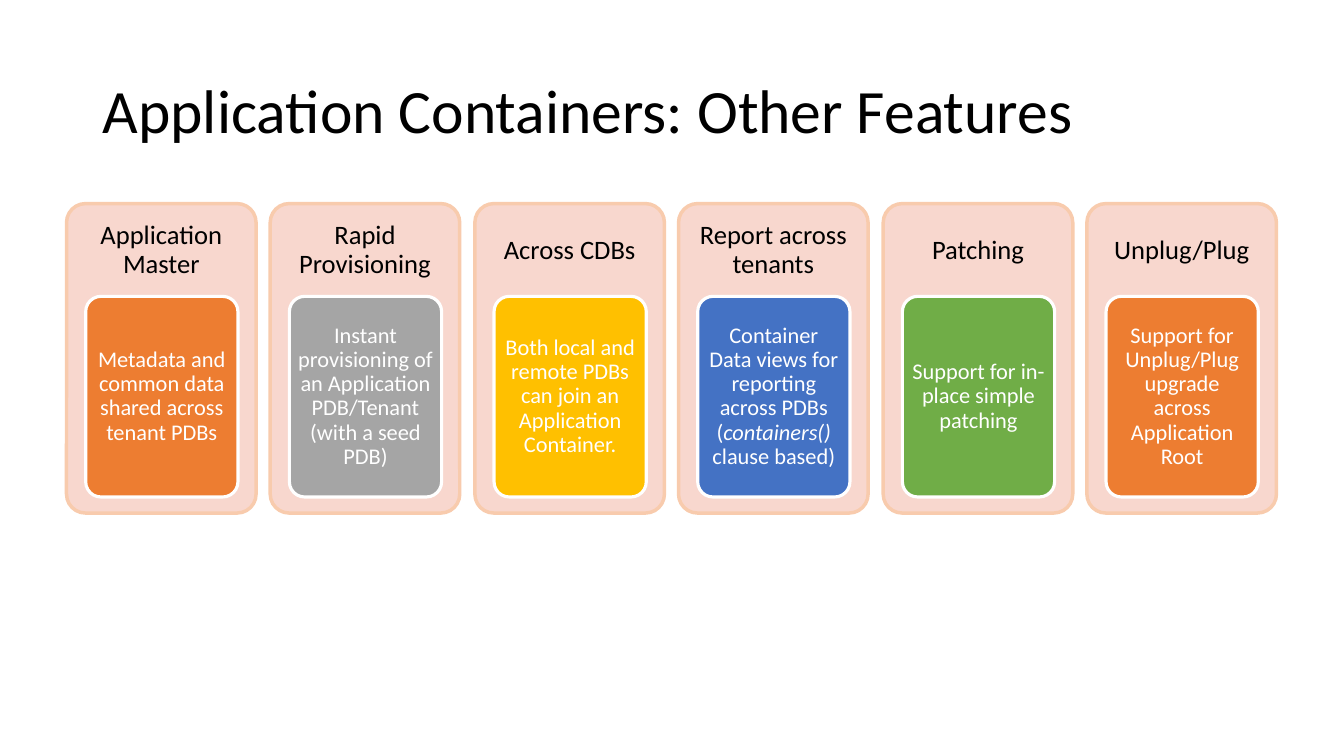
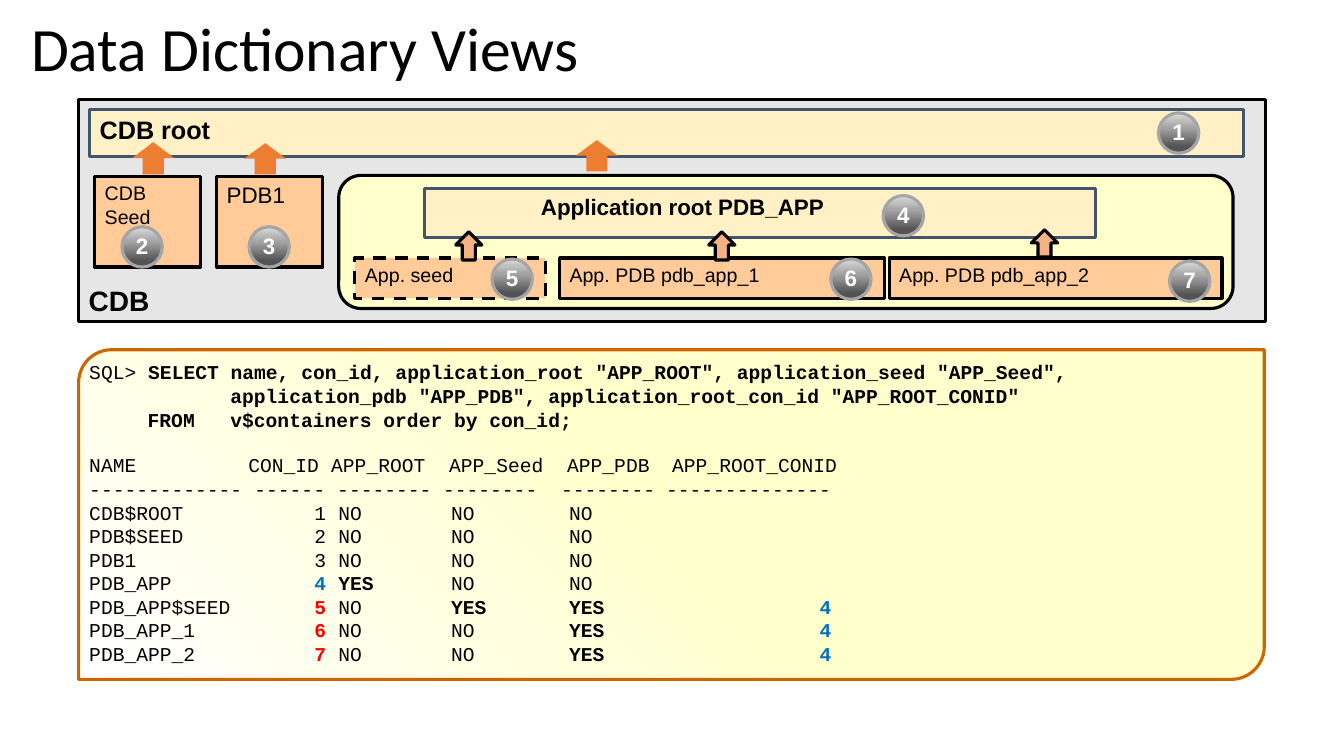
from dataclasses import dataclass
from typing import NamedTuple

from lxml.etree import SubElement
from pptx import Presentation
from pptx.dml.color import RGBColor
from pptx.enum.dml import MSO_LINE
from pptx.enum.shapes import MSO_SHAPE as SHAPE
from pptx.enum.text import MSO_ANCHOR as ANCHOR, PP_ALIGN as ALIGN
from pptx.oxml.ns import qn
from pptx.util import Emu, Pt

EMU_PER_PX = 9144  # 100 px to the inch

COLORS = {
    "black": "000000", "white": "FFFFFF", "red": "FF0000", "blue": "0070C0",
    "card": "F8D7CE", "card_line": "F8CBAD",
    "orange": "ED7D31", "gray": "A5A5A5", "gold": "FFC000",
    "royal": "4472C4", "green": "70AD47",
    "cdb": "E7E6E6", "pdb": "FFCC99", "root": "FFF0C5", "root_line": "44546A",
    "cream": "FFFFCC", "sql_line": "CC6600", "small_arrow": "F4B183",
    "ball_light": "DBDBDB", "ball_dark": "525252",
}
BALL_STOPS = ((0, "ball_light"), (36, "gray"), (85, "ball_dark"))
SQL_STOPS = ((0, "cream"), (50, "cream"), (100, "white"))


class Run(NamedTuple):
    text: str
    bold: bool | None = None
    italic: bool | None = None
    color: str | None = None


class Para(NamedTuple):
    runs: list[Run]
    tabs: tuple[tuple[int, str], ...] = ()
    before: int = 0


@dataclass(frozen=True)
class Card:
    heading: str
    fill: str
    body: list[Run]


@dataclass(frozen=True)
class Box:
    at: tuple[int, int, int, int]
    fill: str
    text: str = ""
    size: int = 14
    bold: bool = False
    line: str = "black"
    dashed: bool = False
    align: ALIGN = ALIGN.LEFT
    insets: tuple[int, int, int, int] = (10, 5, 10, 5)
    kind: SHAPE = SHAPE.RECTANGLE


class Arrow(NamedTuple):
    at: tuple[int, int, int, int]
    fill: str
    line: str | None = None


class Ball(NamedTuple):
    label: str
    x: int
    y: int


def px(n: int) -> Emu:
    return Emu(n * EMU_PER_PX)


def rgb(name: str) -> RGBColor:
    return RGBColor.from_string(COLORS[name])


def write(s, content, *, size: int, font: str = "Calibri", color: str = "black",
          bold: bool = False, align: ALIGN = ALIGN.LEFT,
          anchor: ANCHOR = ANCHOR.TOP, spacing: float = 1.0,
          insets: tuple[int, int, int, int] = (10, 5, 10, 5),
          wrap: bool = True) -> None:
    """Fill a shape with a string or a list of paragraphs."""
    paras = [Para([Run(content)])] if isinstance(content, str) else content
    tf = s.text_frame
    tf.word_wrap, tf.vertical_anchor = wrap, anchor
    tf.margin_left, tf.margin_top, tf.margin_right, tf.margin_bottom = map(px, insets)
    for i, para in enumerate(paras):
        p = tf.add_paragraph() if i else tf.paragraphs[0]
        p.alignment, p.line_spacing = align, spacing
        if para.before:
            p.space_before = Pt(para.before)
        if para.tabs:
            tab_list = SubElement(p._p.get_or_add_pPr(), qn("a:tabLst"))
            for pos, algn in para.tabs:
                SubElement(tab_list, qn("a:tab"), pos=str(px(pos)), algn=algn)
        for run in para.runs:
            r = p.add_run()
            r.text = run.text
            r.font.name, r.font.size = font, Pt(size)
            r.font.bold = bold if run.bold is None else run.bold
            r.font.italic = run.italic
            r.font.color.rgb = rgb(run.color or color)


def add_shape(slide, kind: SHAPE, at: tuple[int, int, int, int], *,
              fill: str | None = None, line: str | None = None,
              width: float = 2.25, adj: tuple[float, ...] = ()):
    s = slide.shapes.add_shape(kind, *map(px, at))
    s.shadow.inherit = False
    for i, value in enumerate(adj):
        s.adjustments[i] = value
    if fill:
        s.fill.solid()
        s.fill.fore_color.rgb = rgb(fill)
    if line:
        s.line.color.rgb = rgb(line)
        s.line.width = Pt(width)
    else:
        s.line.fill.background()
    return s


def set_gradient(s, stops: tuple[tuple[int, str], ...], angle: int) -> None:
    """Apply a linear gradient; the angle runs clockwise from left to right."""
    s.fill.gradient()
    grad = s._element.spPr.find(qn("a:gradFill"))
    grad.clear()
    stop_list = SubElement(grad, qn("a:gsLst"))
    for pos, color in stops:
        gs = SubElement(stop_list, qn("a:gs"), pos=str(pos * 1000))
        SubElement(gs, qn("a:srgbClr"), val=COLORS[color])
    SubElement(grad, qn("a:lin"), ang=str(angle * 60000), scaled="0")


def add_title(slide, text: str, at: tuple[int, int, int, int]) -> None:
    s = slide.shapes.add_textbox(*map(px, at))
    write(s, text, size=44, anchor=ANCHOR.MIDDLE, spacing=0.9)


CARDS = [
    Card("Application Master", "orange",
         [Run("Metadata and common data shared across tenant PDBs")]),
    Card("Rapid Provisioning", "gray",
         [Run("Instant provisioning of an Application PDB/Tenant (with a seed PDB)")]),
    Card("Across CDBs", "gold",
         [Run("Both local and remote PDBs can join an Application Container.")]),
    Card("Report across tenants", "royal",
         [Run("Container Data views for reporting across PDBs ("),
          Run("containers() ", italic=True), Run("clause based)")]),
    Card("Patching", "green", [Run("Support for in-place simple patching")]),
    Card("Unplug/Plug", "orange",
         [Run("Support for Unplug/Plug upgrade across Application Root")]),
]
CARDS_LEFT, CARDS_RIGHT, CARD_W, CARD_PAD = 66, 1266, 188, 19


def add_card(slide, card: Card, x: int) -> None:
    centred = {"align": ALIGN.CENTER, "anchor": ANCHOR.MIDDLE, "spacing": 0.9}
    outer = add_shape(slide, SHAPE.ROUNDED_RECTANGLE, (x, 202, CARD_W, 307),
                      fill="card", line="card_line", width=2.5, adj=(0.1,))
    write(outer, card.heading, size=19, insets=(2, 2, 2, 216), **centred)
    inner = add_shape(slide, SHAPE.ROUNDED_RECTANGLE,
                      (x + CARD_PAD, 294, CARD_W - 2 * CARD_PAD + 1, 199),
                      fill=card.fill, line="white", adj=(0.1,))
    write(inner, [Para(card.body)], size=16, color="white",
          insets=(4, 4, 4, 4), **centred)


def features_slide(prs) -> None:
    slide = prs.slides.add_slide(prs.slide_layouts[6])
    add_title(slide, "Application Containers: Other Features", (92, 40, 1150, 145))
    pitch = (CARDS_RIGHT - CARDS_LEFT - CARD_W) / (len(CARDS) - 1)
    for i, card in enumerate(CARDS):
        add_card(slide, card, round(CARDS_LEFT + i * pitch))


BOXES = [
    Box((78, 99, 1177, 220), "cdb"),
    Box((94, 175, 105, 90), "pdb", "CDB Seed", insets=(10, 5, 25, 5)),
    Box((215, 175, 105, 90), "pdb", "PDB1", size=16),
    Box((336, 174, 887, 132), "cream", kind=SHAPE.ROUNDED_RECTANGLE),
    Box((421, 187, 666, 49), "root", "Application root PDB_APP", size=16, bold=True,
        line="root_line", align=ALIGN.CENTER, insets=(0, 5, 154, 5)),
    Box((352, 256, 189, 40), "pdb", "App. seed", dashed=True),
    Box((555, 256, 322, 40), "pdb", "App. PDB pdb_app_1"),
    Box((882, 256, 330, 40), "pdb", "App. PDB pdb_app_2"),
    Box((89, 109, 1144, 46), "root", "CDB root", size=18, bold=True,
        line="root_line", insets=(10, 4, 10, 5)),
]
ARROWS = [
    Arrow((242, 142, 42, 31), "orange"),
    Arrow((131, 141, 42, 32), "orange"),
    Arrow((571, 139, 42, 31), "orange"),
    Arrow((452, 230, 26, 28), "small_arrow", "black"),
    Arrow((703, 230, 26, 28), "small_arrow", "black"),
    Arrow((1023, 228, 26, 27), "small_arrow", "black"),
]
BALLS = [
    Ball("1", 1149, 112), Ball("7", 1160, 259), Ball("6", 824, 257),
    Ball("5", 488, 257), Ball("3", 247, 225), Ball("2", 121, 225),
    Ball("4", 876, 194),
]

FROM_STOP, NAMES_STOP = (58, "l"), (140, "l")
HEAD_STOPS = ((228, "r"), (240, "l"), (357, "l"), (474, "l"), (742, "r"))
RULE_STOPS = ((234, "r"), (246, "l"), (351, "l"), (468, "l"), (736, "r"))
ROW_STOPS = ((235, "r"), (247, "l"), (359, "l"), (476, "l"), (736, "r"))
HEADINGS = ("NAME", "CON_ID", "APP_ROOT", "APP_Seed", "APP_PDB", "APP_ROOT_CONID")
RULE_LENGTHS = (13, 6, 8, 8, 8, 14)
APP_ROOT_ID = 4
CONTAINERS = [
    ("CDB$ROOT", "NO", "NO", "NO"),
    ("PDB$SEED", "NO", "NO", "NO"),
    ("PDB1", "NO", "NO", "NO"),
    ("PDB_APP", "YES", "NO", "NO"),
    ("PDB_APP$SEED", "NO", "YES", "YES"),
    ("PDB_APP_1", "NO", "NO", "YES"),
    ("PDB_APP_2", "NO", "NO", "YES"),
]


def result_row(con_id: int, name: str, *flags: str) -> Para:
    """Root's id is blue, ids of its members are red, and each YES is bold."""
    root_id = Run(f"\t{APP_ROOT_ID}", bold=True, color="blue")
    if con_id == APP_ROOT_ID:
        id_run = root_id
    elif con_id > APP_ROOT_ID:
        id_run = Run(f"\t{con_id}", bold=True, color="red")
    else:
        id_run = Run(f"\t{con_id}")
    runs = [Run(name), id_run, *(Run("\t" + f, bold=f == "YES") for f in flags)]
    if con_id > APP_ROOT_ID:
        runs.append(root_id)
    return Para(runs, ROW_STOPS)


def sql_paragraphs() -> list[Para]:
    return [
        Para([Run("SQL> "),
              Run('SELECT name, con_id, application_root "APP_ROOT", '
                  'application_seed "APP_Seed",', bold=True)]),
        Para([Run('\tapplication_pdb "APP_PDB", '
                  'application_root_con_id "APP_ROOT_CONID"', bold=True)],
             (NAMES_STOP,)),
        Para([Run("\tFROM\tv$containers order by con_id;", bold=True)],
             (FROM_STOP, NAMES_STOP)),
        Para([Run("\t".join(HEADINGS))], HEAD_STOPS, before=16),
        Para([Run("\t".join("-" * n for n in RULE_LENGTHS))], RULE_STOPS),
        *(result_row(i, *row) for i, row in enumerate(CONTAINERS, 1)),
    ]


def views_slide(prs) -> None:
    slide = prs.slides.add_slide(prs.slide_layouts[6])
    add_title(slide, "Data Dictionary Views", (21, 0, 1110, 102))

    sql = add_shape(slide, SHAPE.ROUND_2_DIAG_RECTANGLE, (78, 347, 1176, 327),
                    line="sql_line", adj=(0.1, 0))
    set_gradient(sql, SQL_STOPS, 135)
    write(sql, sql_paragraphs(), size=14, font="Courier New", insets=(1, 1, 1, 1))

    for box in BOXES:
        s = add_shape(slide, box.kind, box.at, fill=box.fill, line=box.line)
        if box.dashed:
            s.line.dash_style = MSO_LINE.DASH
        if box.text:
            write(s, box.text, size=box.size, font="Arial", bold=box.bold,
                  align=box.align, insets=box.insets)
    for arrow in ARROWS:
        add_shape(slide, SHAPE.UP_ARROW, arrow.at, fill=arrow.fill, line=arrow.line)

    label = slide.shapes.add_textbox(*map(px, (78, 276, 81, 44)))
    write(label, "CDB", size=20, font="Arial", bold=True, wrap=False)

    for ball in BALLS:
        s = add_shape(slide, SHAPE.OVAL, (ball.x, ball.y, 40, 40), line="gray")
        set_gradient(s, BALL_STOPS, 90)
        write(s, ball.label, size=16, font="Arial", color="white", bold=True,
              align=ALIGN.CENTER, anchor=ANCHOR.MIDDLE, spacing=0.95,
              insets=(5, 5, 5, 5), wrap=False)


def main() -> None:
    prs = Presentation()
    prs.slide_width, prs.slide_height = px(1333), px(750)
    features_slide(prs)
    views_slide(prs)
    prs.save("out.pptx")


if __name__ == "__main__":
    main()
